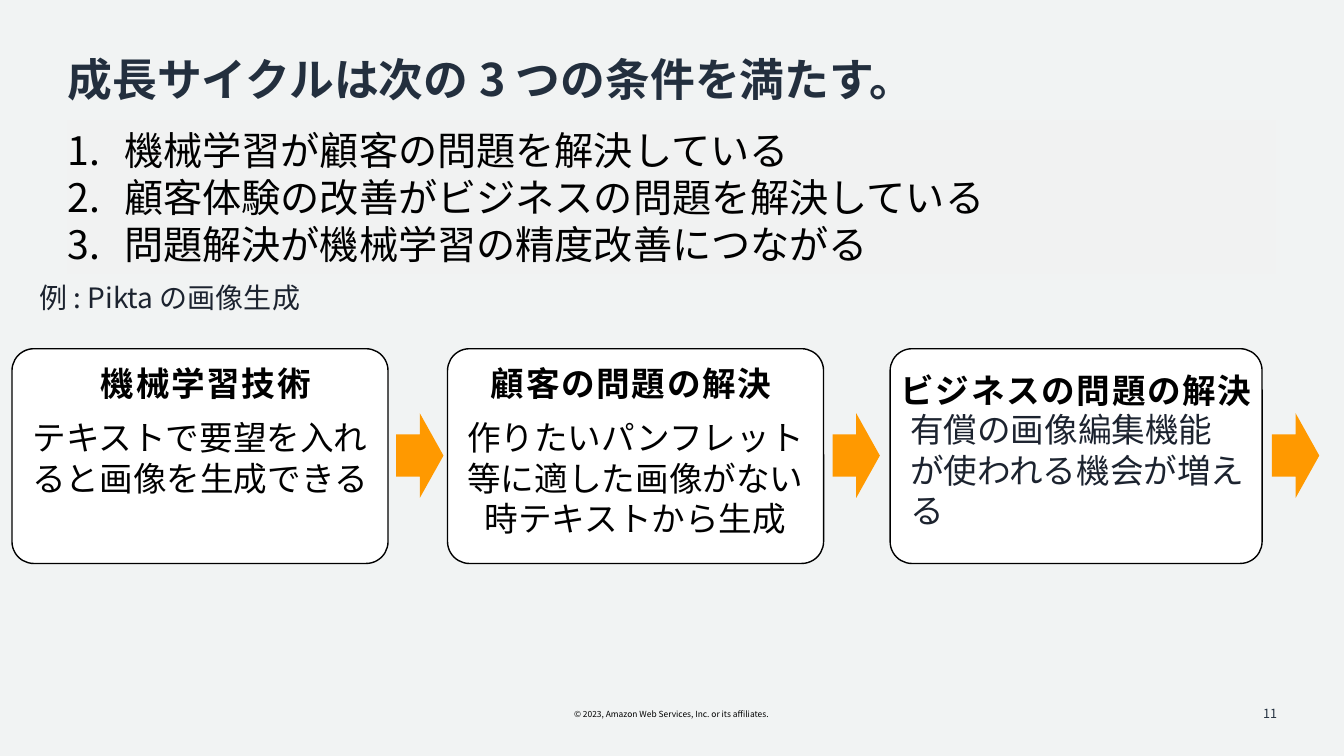
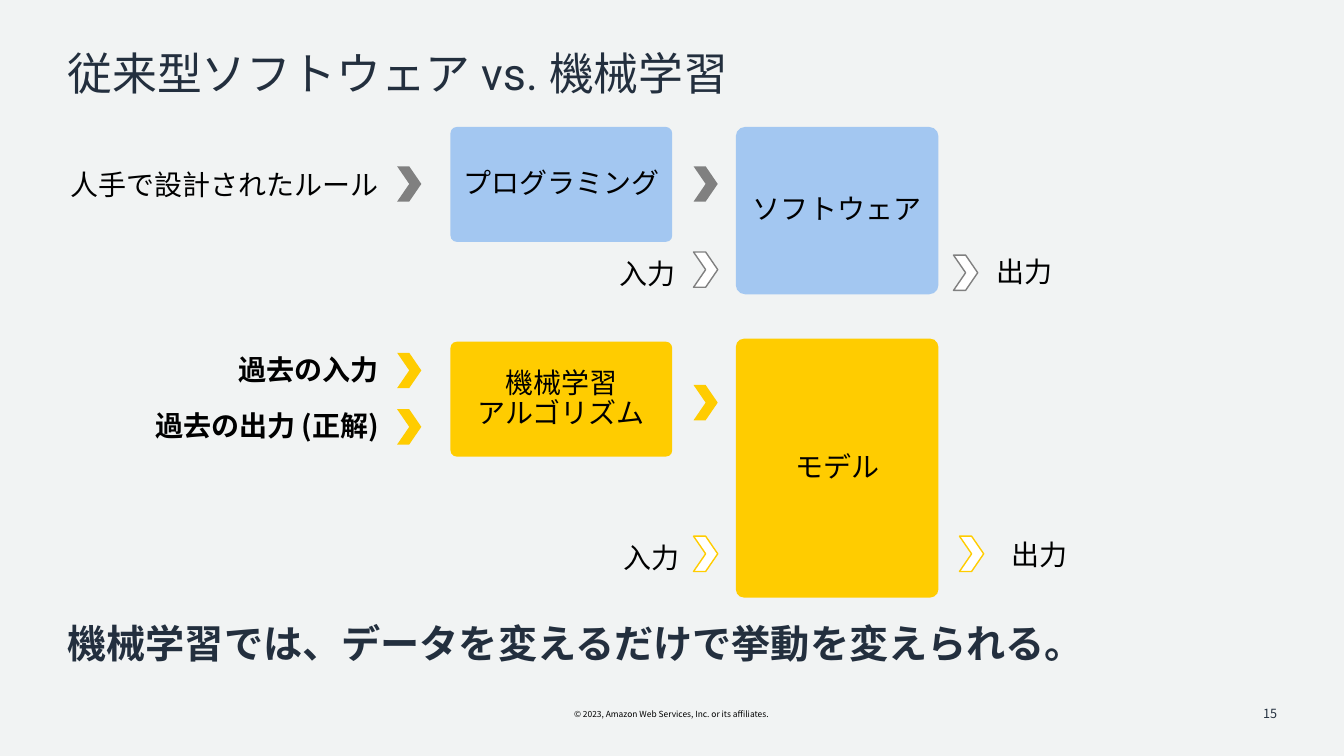
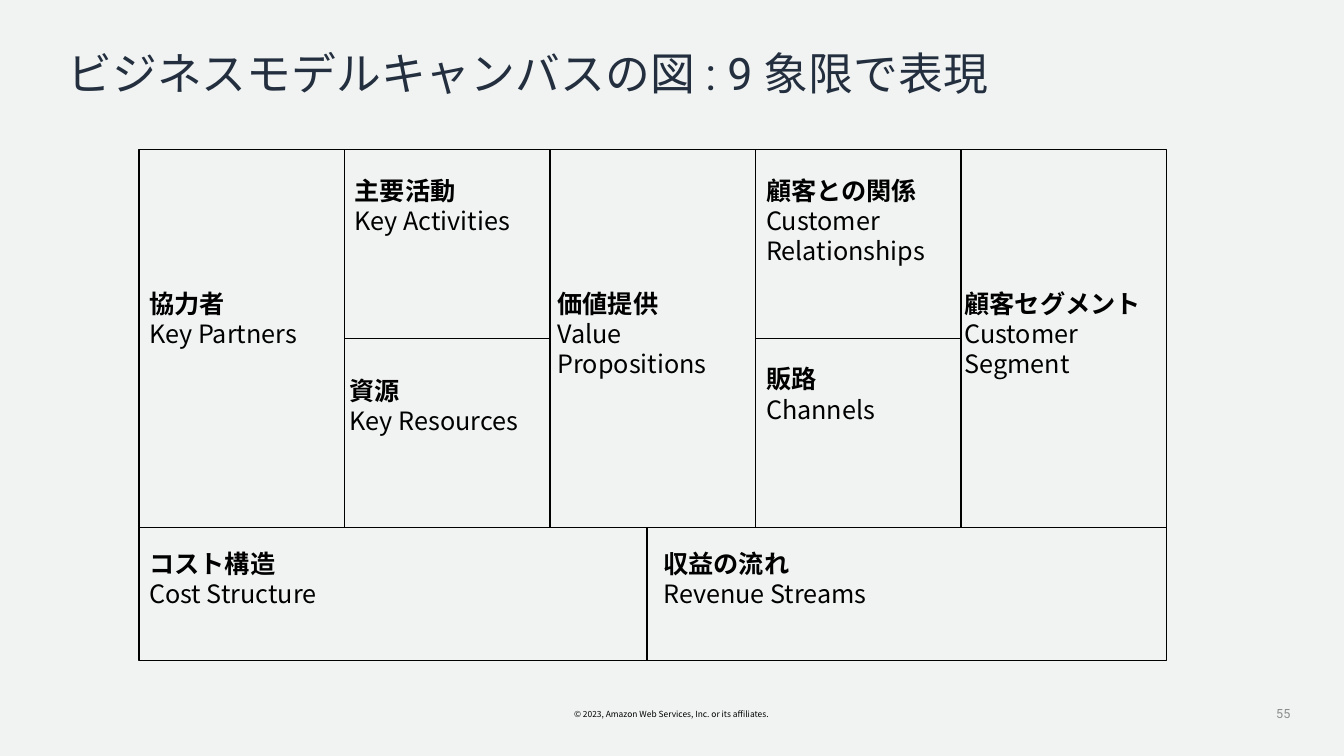
"""Build three slides on machine learning growth cycles and the business model canvas."""
from lxml.etree import SubElement
from pptx import Presentation
from pptx.dml.color import RGBColor
from pptx.enum.shapes import MSO_SHAPE
from pptx.enum.text import MSO_ANCHOR, MSO_AUTO_SIZE, PP_ALIGN
from pptx.oxml.ns import qn
from pptx.util import Pt

BACKGROUND = RGBColor(0xF1, 0xF3, 0xF3)
NAVY = RGBColor(0x23, 0x2F, 0x3E)
INK = RGBColor(0x1C, 0x23, 0x2F)
BLACK = RGBColor(0, 0, 0)
WHITE = RGBColor(0xFF, 0xFF, 0xFF)
PANEL = RGBColor(0xF2, 0xF2, 0xF2)
ORANGE = RGBColor(0xFF, 0x99, 0x00)
YELLOW = RGBColor(0xFF, 0xCC, 0x00)
BLUE = RGBColor(0xA3, 0xC7, 0xF1)
GRAY = RGBColor(0x80, 0x80, 0x80)
PALE_GRAY = RGBColor(0x8C, 0x8C, 0x8C)

JAPANESE, LATIN = "Noto Sans CJK JP", "Roboto"
FLUSH = (0, 3.6, 0, 3.6)
NORMAL = (7.2, 3.6, 7.2, 3.6)
LEFT, CENTER, RIGHT = PP_ALIGN.LEFT, PP_ALIGN.CENTER, PP_ALIGN.RIGHT
TOP, MIDDLE = MSO_ANCHOR.TOP, MSO_ANCHOR.MIDDLE
MARGIN, CONTENT_WIDTH = 48.2, 862.6

COPYRIGHT = "© 2023, Amazon Web Services, Inc. or its affiliates."

CONDITIONS = [
    "機械学習が顧客の問題を解決している",
    "顧客体験の改善がビジネスの問題を解決している",
    "問題解決が機械学習の精度改善につながる",
]
CARDS = [
    dict(left=8.6, width=268.6, arrow=283,
         heading="機械学習技術", heading_box=(32.4, 249.8, 236.2, 38.2),
         detail="テキストで要望を入れると画像を生成できる",
         detail_box=(14.4, 294.5, 257, 65.5), style=dict(align=CENTER)),
    dict(left=319.7, width=268.6, arrow=594.7,
         heading="顧客の問題の解決", heading_box=(336.2, 249.8, 236.2, 38.2),
         detail="作りたいパンフレット等に適した画像がない時テキストから生成",
         detail_box=(325.4, 294.5, 257, 94.3), style=dict(align=CENTER)),
    dict(left=635.8, width=265.7, arrow=908.6,
         heading="ビジネスの問題の解決", heading_box=(639.4, 254.9, 265.7, 38.2),
         detail="有償の画像編集機能が使われる機会が増える",
         detail_box=(643, 288.7, 253.4, 94.3), style=dict(color=INK)),
]

BLOCKS = [
    ("プログラミング", (321.8, 90.7, 158.4, 82.1), BLUE, 0.055),
    ("ソフトウェア", (525.6, 90.7, 144.7, 119.5), BLUE, 0.055),
    ("機械学習\nアルゴリズム", (321.8, 244.1, 158.4, 82.1), YELLOW, 0.055),
    ("モデル", (525.6, 241.9, 144.7, 185), YELLOW, 0.041),
]
CHEVRONS = [
    (283.7, 118.8, GRAY, True), (495.4, 118.8, GRAY, True),
    (495.4, 180, GRAY, False), (681.1, 182.2, GRAY, False),
    (283.7, 252, YELLOW, True), (283.7, 292.3, YELLOW, True),
    (495.4, 275, YELLOW, True),
    (495.4, 383, YELLOW, False), (685.4, 383, YELLOW, False),
]
FLOW_LABELS = [
    ("人手で設計されたルール", (33.1, 111.6, 244.8, 40.3), RIGHT, False),
    ("入力", (378, 179.3, 111.6, 32.4), RIGHT, False),
    ("出力", (704.9, 173.5, 92.2, 40.3), LEFT, False),
    ("過去の入力", (53.3, 243.4, 224.6, 40.3), RIGHT, True),
    ("過去の出力 (正解)", (76.3, 283.7, 201.6, 40.3), RIGHT, True),
    ("入力", (284.4, 381.6, 208.1, 32.4), RIGHT, False),
    ("出力", (715.7, 375.8, 118.1, 40.3), LEFT, False),
]

CANVAS_LEFT, CANVAS_TOP = 99.2, 106.6
COLUMN, HALF_ROW, BOTTOM_ROW = 146.8, 135.1, 95.2
COST_WIDTH = 363
CANVAS_COLUMNS = [1, 2, 1, 2, 1]
CANVAS_LABELS = [
    (106.6, 202.3, 131, ["協力者", "Key Partners"]),
    (253.4, 121.7, 139, ["主要活動", "Key Activities"]),
    (249.8, 264.2, 147, ["資源", "Key Resources"]),
    (398.2, 202.3, 139, ["価値提供", "Value", "Propositions"]),
    (547.2, 121.7, 139, ["顧客との関係", "Customer", "Relationships"]),
    (547.2, 256.3, 139, ["販路", "Channels"]),
    (689, 202.3, 149, ["顧客セグメント", "Customer", "Segment"]),
    (106.6, 388.1, 147, ["コスト構造", "Cost Structure"]),
    (473.8, 388.1, 175.7, ["収益の流れ", "Revenue Streams"]),
]


def place(shape, box):
    for name, value in zip(("left", "top", "width", "height"), box):
        setattr(shape, name, Pt(value))


def add_run(paragraph, text, size, color, bold, font, spacing):
    run = paragraph.add_run()
    run.text = text
    for name, value in dict(size=Pt(size), bold=bold, name=font).items():
        setattr(run.font, name, value)
    run.font.color.rgb = color
    properties = run.font._element if hasattr(run.font, "_element") else run._r.get_or_add_rPr()
    SubElement(properties, qn("a:ea")).set("typeface", JAPANESE)
    if spacing:
        properties.set("spc", str(int(spacing * 100)))


def write(shape, paragraphs, size=20, color=BLACK, bold=False, font=JAPANESE, spacing=0,
          align=LEFT, anchor=TOP, insets=NORMAL, line=1.0, wrap=True, numbered=False):
    """Fill a shape; a paragraph is a string or a list of (text, font) runs."""
    frame = shape.text_frame
    sides = ("margin_left", "margin_top", "margin_right", "margin_bottom")
    settings = dict(zip(sides, map(Pt, insets)), word_wrap=wrap,
                    auto_size=MSO_AUTO_SIZE.NONE, vertical_anchor=anchor)
    for name, value in settings.items():
        setattr(frame, name, value)
    for index, content in enumerate(paragraphs):
        paragraph = frame.add_paragraph() if index else frame.paragraphs[0]
        layout = dict(alignment=align, line_spacing=line, space_before=Pt(0))
        for name, value in layout.items():
            setattr(paragraph, name, value)
        if numbered:
            properties = paragraph._p.get_or_add_pPr()
            properties.set("marL", str(Pt(40.5)))
            properties.set("indent", str(-Pt(40.5)))
            SubElement(properties, qn("a:buAutoNum")).set("type", "arabicPeriod")
        runs = [(content, font)] if isinstance(content, str) else content
        for text, run_font in runs:
            for row, part in enumerate(text.split("\n")):
                if row:
                    paragraph.add_line_break()
                weight = bold and (bold != "first" or index == 0)
                add_run(paragraph, part, size, color, weight, run_font, spacing)


def add_text(shapes, box, paragraphs, **style):
    text_box = shapes.add_textbox(*map(Pt, box))
    write(text_box, paragraphs, **style)
    return text_box


def add_box(shapes, kind, box, fill=None, line=None, adjustment=None):
    shape = shapes.add_shape(kind, *map(Pt, box))
    shape.shadow.inherit = False
    if fill is None:
        shape.fill.background()
    else:
        shape.fill.solid()
        shape.fill.fore_color.rgb = fill
    if line is None:
        shape.line.fill.background()
    else:
        shape.line.color.rgb = line
        shape.line.width = Pt(1)
    if adjustment is not None:
        shape.adjustments[0] = adjustment
    return shape


def add_slide(presentation, layout, title, number, top=33.1, height=43.2, bold=False,
              number_box=(703.4, 495.4, 216, 28.8), number_style=None):
    slide = presentation.slides.add_slide(presentation.slide_layouts[layout])
    place(slide.shapes.title, (MARGIN, top, CONTENT_WIDTH, height))
    write(slide.shapes.title, [title], size=32, color=NAVY, bold=bold, insets=FLUSH, line=0.9)
    style = dict(size=9, color=NAVY, align=RIGHT, anchor=MIDDLE) | (number_style or {})
    add_text(slide.shapes, number_box, [number], **style)
    return slide


def set_up_master(presentation, slide):
    master = presentation.slide_master
    master.background.fill.solid()
    master.background.fill.fore_color.rgb = BACKGROUND
    footer = add_text(slide.shapes, (395.3, 503.3, 168.5, 14.4), [COPYRIGHT],
                      size=6, align=CENTER, wrap=False)
    master.shapes.element.append(footer.element)


def build_growth_cycle(presentation):
    slide = add_slide(presentation, 1, "成長サイクルは次の 3 つの条件を満たす。", "11",
                      top=37.4, height=41, bold=True)
    shapes = slide.shapes
    conditions = slide.placeholders[1]
    place(conditions, (MARGIN, 86.4, CONTENT_WIDTH, 108.7))
    conditions.fill.solid()
    conditions.fill.fore_color.rgb = PANEL
    panel_color = conditions.element.spPr.find(qn("a:solidFill"))[0]
    SubElement(panel_color, qn("a:alpha")).set("val", "70000")
    write(conditions, CONDITIONS, size=28, insets=FLUSH, numbered=True)
    add_text(shapes, (20.9, 196.6, 311, 31.7), ["例 : Pikta の画像生成"], color=INK)
    for card in CARDS:
        add_box(shapes, MSO_SHAPE.ROUNDED_RECTANGLE, (card["left"], 249.1, card["width"], 153.4),
                WHITE, BLACK, 0.102)
        add_text(shapes, card["heading_box"], [card["heading"]], size=24, bold=True,
                 spacing=1.2, align=CENTER, insets=(0, 3.6, 7.2, 3.6), line=1.2)
        add_text(shapes, card["detail_box"], [card["detail"]], size=24, **card["style"])
        add_box(shapes, MSO_SHAPE.RIGHT_ARROW, (card["arrow"], 295.2, 33.8, 60.5), ORANGE)
    return slide


def build_comparison(presentation):
    title = [("従来型ソフトウェア vs. 機械学習", LATIN)]
    shapes = add_slide(presentation, 5, title, "15").shapes
    for text, box, fill, adjustment in BLOCKS:
        block = add_box(shapes, MSO_SHAPE.ROUNDED_RECTANGLE, box, fill, adjustment=adjustment)
        write(block, [text], align=CENTER, anchor=MIDDLE, line=0.9)
    for left, top, color, solid in CHEVRONS:
        fill, line = (color, None) if solid else (WHITE, color)
        add_box(shapes, MSO_SHAPE.CHEVRON, (left, top, 17.3, 25.2), fill, line)
    for text, box, align, bold in FLOW_LABELS:
        add_text(shapes, box, [text], align=align, bold=bold, anchor=MIDDLE)
    add_text(shapes, (MARGIN, 442.8, CONTENT_WIDTH, 38.9),
             ["機械学習では、データを変えるだけで挙動を変えられる。"],
             size=28, color=NAVY, bold=True, insets=FLUSH, line=0.9)


def build_canvas(presentation):
    title = [("ビジネスモデルキャンバスの図 ", JAPANESE), (": 9 ", LATIN), ("象限で表現", JAPANESE)]
    slide = add_slide(presentation, 5, title, "55", number_box=(743.8, 495.4, 185, 28.8),
                      number_style=dict(color=PALE_GRAY, font=LATIN))
    shapes = slide.shapes.add_group_shape().shapes
    cells = []
    for column, parts in enumerate(CANVAS_COLUMNS):
        height = 2 * HALF_ROW / parts
        cells += [(CANVAS_LEFT + column * COLUMN, CANVAS_TOP + part * height, COLUMN, height)
                  for part in range(parts)]
    bottom = CANVAS_TOP + 2 * HALF_ROW
    revenue_width = len(CANVAS_COLUMNS) * COLUMN - COST_WIDTH
    cells += [(CANVAS_LEFT, bottom, COST_WIDTH, BOTTOM_ROW),
              (CANVAS_LEFT + COST_WIDTH, bottom, revenue_width, BOTTOM_ROW)]
    for cell in cells:
        add_box(shapes, MSO_SHAPE.RECTANGLE, cell, line=BLACK)
    for left, top, width, lines in CANVAS_LABELS:
        add_text(shapes, (left, top, width, 7.2 + 21.9 * len(lines)), lines,
                 size=18, bold="first", insets=FLUSH)


def main():
    presentation = Presentation()
    presentation.slide_width, presentation.slide_height = Pt(960), Pt(540)
    first_slide = build_growth_cycle(presentation)
    set_up_master(presentation, first_slide)
    build_comparison(presentation)
    build_canvas(presentation)
    presentation.save("out.pptx")


if __name__ == "__main__":
    main()
